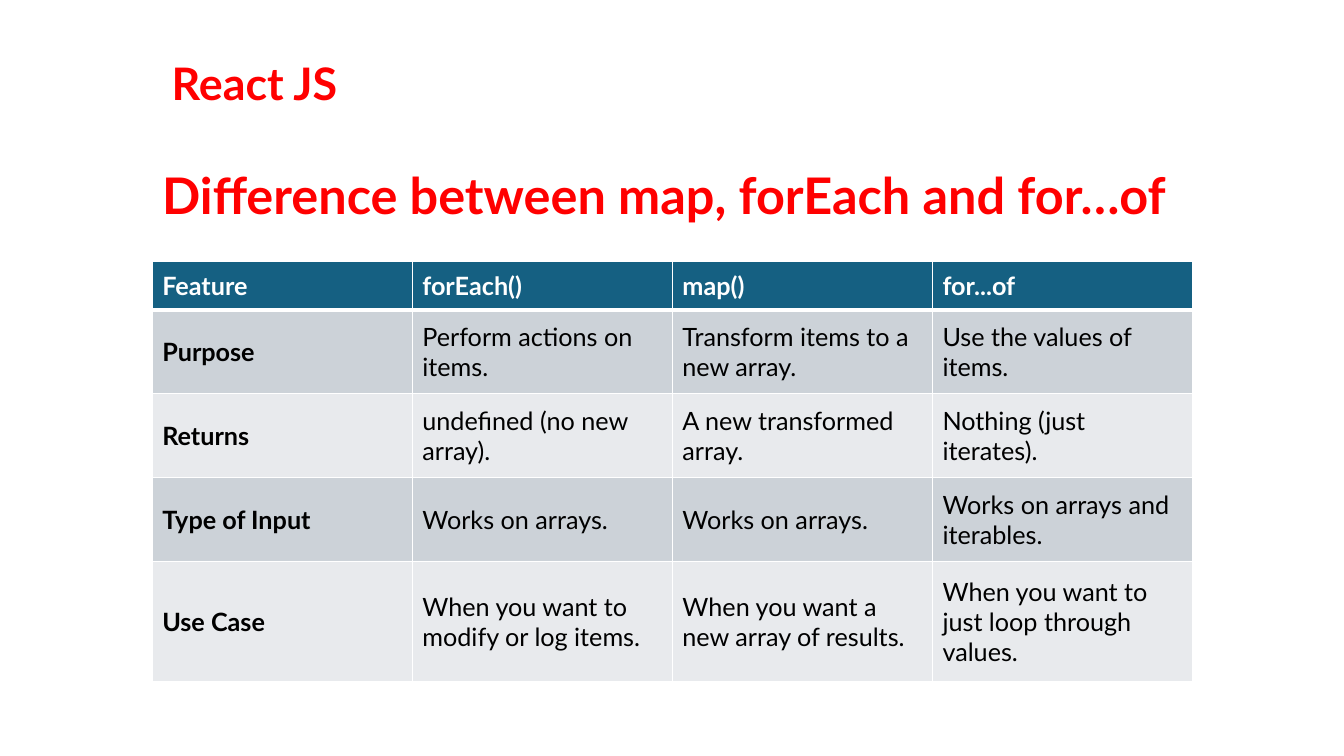
from lxml.etree import SubElement
from pptx import Presentation
from pptx.dml.color import RGBColor as Color
from pptx.enum.text import MSO_ANCHOR as Anchor, PP_ALIGN as Align
from pptx.oxml.ns import qn
from pptx.util import Pt

COLORS = {
    "heading": "FF0000",
    "header": "156082",
    "band_dark": "CCD2D8",
    "band_light": "E8EAED",
    "white": "FFFFFF",
    "black": "000000",
}


def style_text(text_frame, size, color, bold):
    for run in text_frame.paragraphs[0].runs:
        run.font.name = "Lato"
        run.font.size = Pt(size)
        run.font.bold = bold
        run.font.color.rgb = Color.from_string(COLORS[color])


def add_border(cell, side, width):
    properties = cell._tc.get_or_add_tcPr()
    line = SubElement(properties, qn(f"a:ln{side}"), w=str(Pt(width)))
    fill = SubElement(line, qn("a:solidFill"))
    SubElement(fill, qn("a:srgbClr"), val=COLORS["white"])


presentation = Presentation()
presentation.slide_width = Pt(960)
presentation.slide_height = Pt(540)
slide = presentation.slides.add_slide(presentation.slide_layouts[6])

# Course name and title
headings = [
    ("React JS", 100.8, 36, 162, 46, 32, Align.CENTER, 1.0),
    ("Difference between map, forEach and for…of",
     108.7, 118.8, 741.6, 67, 36, Align.LEFT, 0.9),
]
for text, left, top, width, height, size, alignment, spacing in headings:
    box = slide.shapes.add_textbox(Pt(left), Pt(top), Pt(width), Pt(height))
    box.text_frame.word_wrap = True
    box.text_frame.text = text
    paragraph = box.text_frame.paragraphs[0]
    paragraph.alignment = alignment
    paragraph.line_spacing = spacing
    style_text(box.text_frame, size, "heading", True)

# Comparison table
rows = [
    ("Feature", "forEach()", "map()", "for...of"),
    ("Purpose", "Perform actions on items.",
     "Transform items to a new array.", "Use the values of items."),
    ("Returns", "undefined (no new array).",
     "A new transformed array.", "Nothing (just iterates)."),
    ("Type of Input", "Works on arrays.",
     "Works on arrays.", "Works on arrays and iterables."),
    ("Use Case", "When you want to modify or log items.",
     "When you want a new array of results.",
     "When you want to just loop through values."),
]
row_heights = [34.4, 60, 60, 60, 85.6]
column_width = 185.8
table = slide.shapes.add_table(
    len(rows), len(rows[0]), Pt(108.7), Pt(186.8),
    Pt(column_width * len(rows[0])), Pt(sum(row_heights))).table

for column in table.columns:
    column.width = Pt(column_width)

for row_index, texts in enumerate(rows):
    table.rows[row_index].height = Pt(row_heights[row_index])
    is_header = row_index == 0
    if is_header:
        fill_color = "header"
    else:
        fill_color = "band_dark" if row_index % 2 else "band_light"
    # The rule under the header is heavier than the other borders
    border_widths = {"L": 1, "R": 1,
                     "T": 3 if row_index == 1 else 1,
                     "B": 3 if is_header else 1}
    for column_index, text in enumerate(texts):
        cell = table.cell(row_index, column_index)
        cell.text_frame.text = text
        cell.vertical_anchor = Anchor.MIDDLE
        style_text(cell.text_frame, 18, "white" if is_header else "black",
                   is_header or column_index == 0)
        for side, width in border_widths.items():
            add_border(cell, side, width)
        cell.fill.solid()
        cell.fill.fore_color.rgb = Color.from_string(COLORS[fill_color])

presentation.save("out.pptx")
